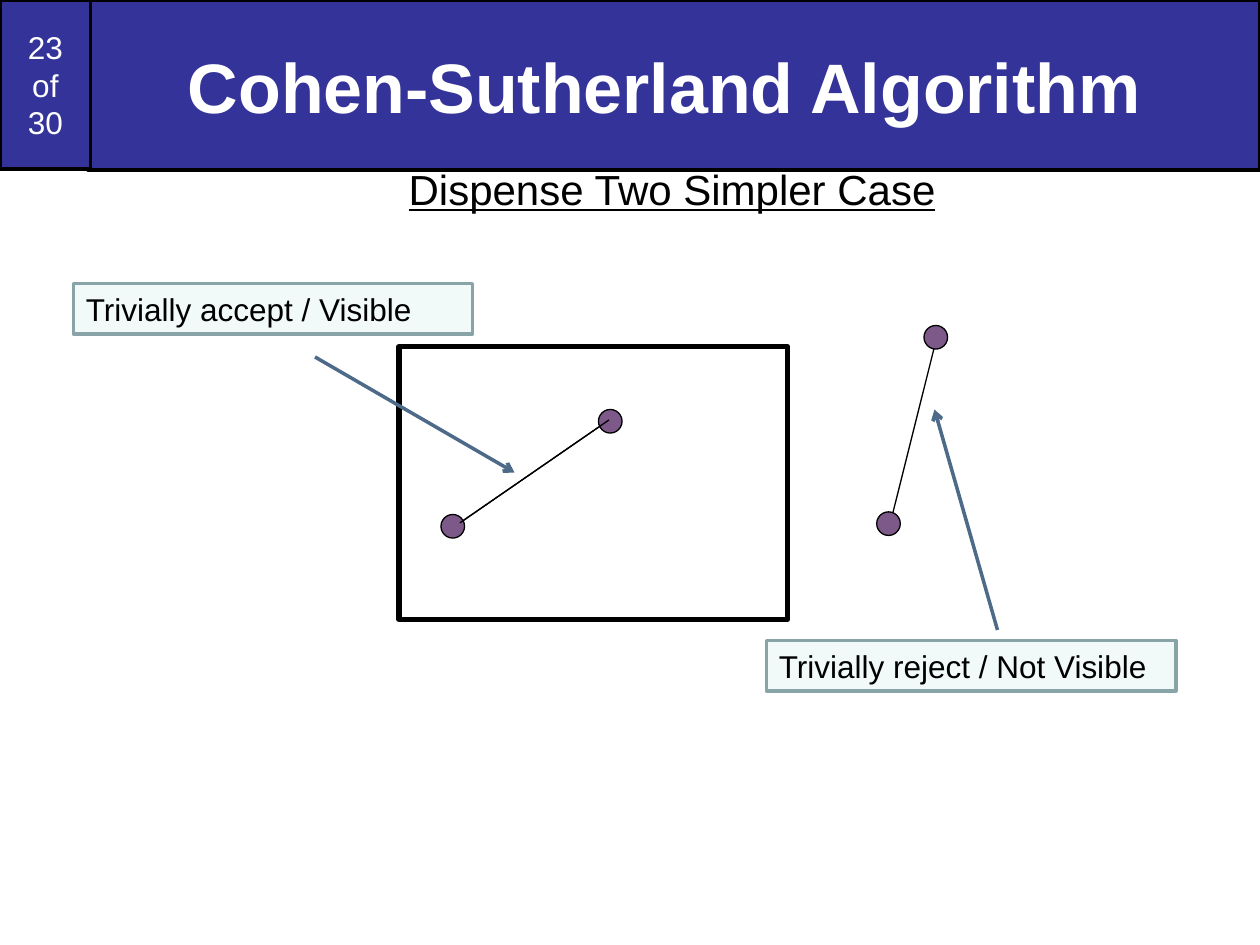
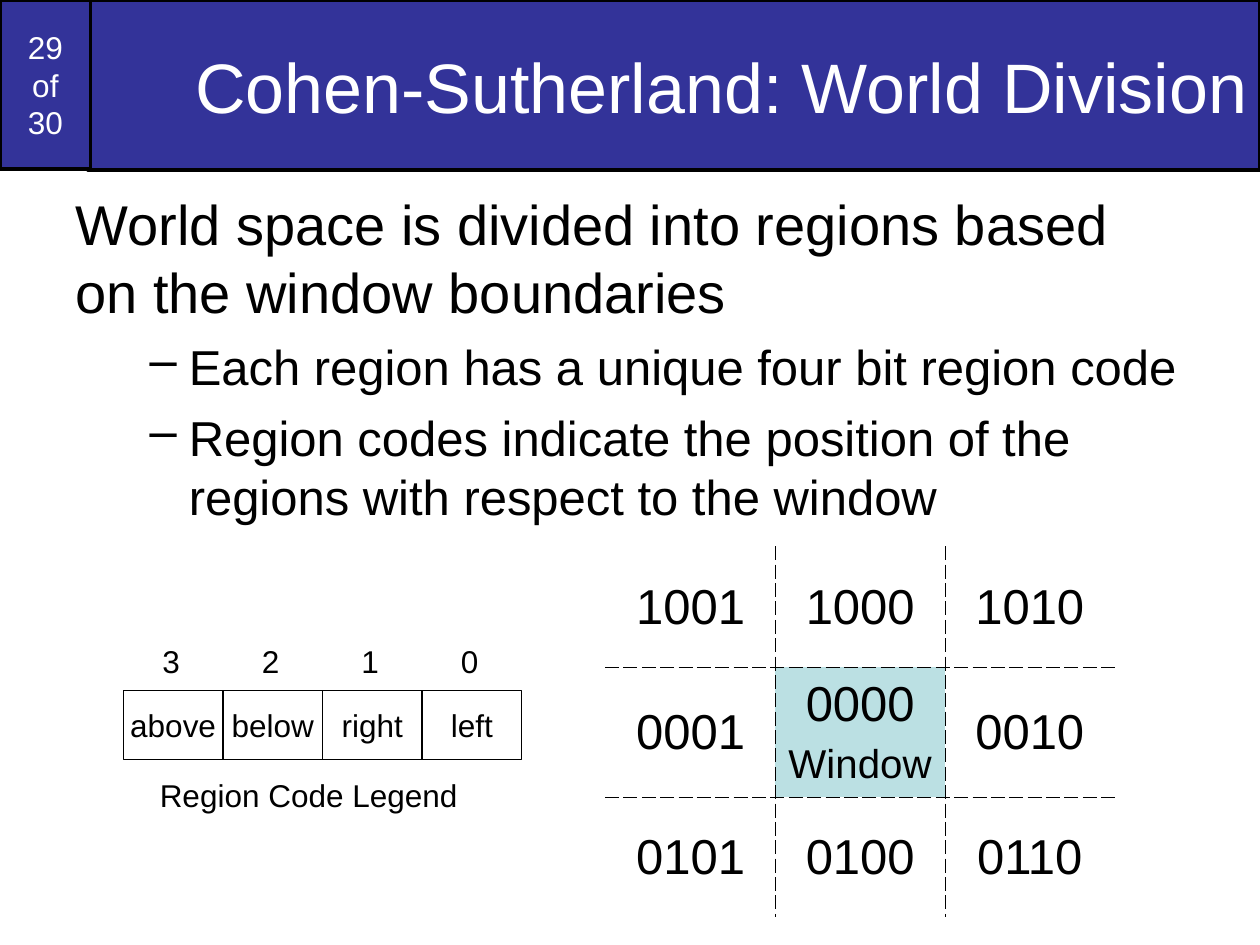
from lxml import etree
from pptx import Presentation
from pptx.dml.color import RGBColor
from pptx.enum.shapes import MSO_CONNECTOR, MSO_SHAPE
from pptx.enum.text import MSO_ANCHOR, MSO_AUTO_SIZE, PP_ALIGN
from pptx.oxml.ns import qn
from pptx.util import Inches, Pt

LEFT, CENTER, RIGHT = PP_ALIGN.LEFT, PP_ALIGN.CENTER, PP_ALIGN.RIGHT
TOP, MIDDLE = MSO_ANCHOR.TOP, MSO_ANCHOR.MIDDLE
RECTANGLE, OVAL = MSO_SHAPE.RECTANGLE, MSO_SHAPE.OVAL
STRAIGHT = MSO_CONNECTOR.STRAIGHT
NO_AUTOFIT = MSO_AUTO_SIZE.NONE

FONT = "Arial"
COLORS = {
    "band": "333399", "white": "FFFFFF", "black": "000000",
    "point": "7C5989", "pointer": "4D6B89",
    "label": "F1F9F9", "label_edge": "89A4A7", "window": "BBE0E3",
}
TITLE_ONLY = 5
PAGE_TOTAL = 30
CELLS_PER_INCH = 12  # the slide is a grid of 120 columns by 90 rows


def grid(*cells):
    return [Inches(cell / CELLS_PER_INCH) for cell in cells]


def color(name):
    return RGBColor.from_string(COLORS[name])


# Text
def format_para(para, size, ink="black", align=LEFT, bold=False, underline=False, before=0):
    para.alignment = align
    para.space_before = Pt(before)
    for span in para.runs:
        font = span.font
        font.name, font.size = FONT, Pt(size)
        font.bold, font.underline = bold, underline
        font.color.rgb = color(ink)


def write(box, text, size, anchor=TOP, wrap=True, **style):
    frame = box.text_frame
    frame.auto_size = NO_AUTOFIT
    frame.word_wrap = wrap
    frame.vertical_anchor = anchor
    para = frame.paragraphs[0]
    para.text = text
    format_para(para, size, **style)


def add_text(page, place, text, size, **style):
    write(page.shapes.add_textbox(*grid(*place)), text, size, **style)


def add_dash_bullet(para, margin, hang):
    properties = para._p.get_or_add_pPr()
    properties.set("marL", str(Inches(margin)))
    properties.set("indent", str(-Inches(hang)))
    etree.SubElement(properties, qn("a:buChar"), char="–")


# Shapes and lines
def paint(shape, fill, edge, width):
    if fill:
        shape.fill.solid()
        shape.fill.fore_color.rgb = color(fill)
    else:
        shape.fill.background()
    shape.line.color.rgb = color(edge)
    shape.line.width = Pt(width)


def add_box(page, kind, place, fill=None, edge="black", width=1):
    shape = page.shapes.add_shape(kind, *grid(*place))
    shape.shadow.inherit = False
    paint(shape, fill, edge, width)
    return shape


def add_line(page, start, end, ink="black", width=0.75, arrow=False):
    connector = page.shapes.add_connector(STRAIGHT, *grid(*start, *end))
    connector.line.color.rgb = color(ink)
    connector.line.width = Pt(width)
    etree.SubElement(connector._element.spPr, qn("a:effectLst"))
    if arrow:
        etree.SubElement(connector.line._get_or_add_ln(), qn("a:tailEnd"), type="arrow")


def add_label(page, place, text):
    box = add_box(page, RECTANGLE, place, "label", "label_edge", 2)
    write(box, text, 18)


def add_segment(page, points, start, end):
    add_line(page, start, end)
    for left, top in points:
        add_box(page, OVAL, (left, top, 2.25, 2.25), "point", width=0.75)


# Page heading: number badge and title band
def add_page(deck, number, title, align, bold=False):
    page = deck.slides.add_slide(deck.slide_layouts[TITLE_ONLY])
    badge = add_box(page, RECTANGLE, (0, 0, 8.64, 16.1), "band", width=2)
    write(badge, f"{number}\vof\v{PAGE_TOTAL}", 18, MIDDLE, ink="white", align=CENTER)
    band = page.shapes.title
    band.left, band.top, band.width, band.height = grid(8.4, 0, 111.6, 16.2)
    paint(band, "band", "black", 2)
    write(band, title, 40, MIDDLE, ink="white", align=align, bold=bold)
    return page


# Region code table
def dash_border(cell, side):
    line = etree.SubElement(cell._tc.get_or_add_tcPr(), qn(f"a:ln{side}"), w=str(Pt(0.45)))
    fill = etree.SubElement(line, qn("a:solidFill"))
    etree.SubElement(fill, qn("a:srgbClr"), val=COLORS["black"])
    etree.SubElement(line, qn("a:prstDash"), val="dash")


def add_region_table(page, left, top, column_width, row_heights, codes):
    last_row, last_column = len(codes) - 1, len(codes[0]) - 1
    place = grid(left, top, column_width * len(codes[0]), sum(row_heights))
    table = page.shapes.add_table(len(codes), len(codes[0]), *place).table
    table.first_row = table.horz_banding = False
    for column in table.columns:
        column.width = grid(column_width)[0]
    for r, (height, row) in enumerate(zip(row_heights, codes)):
        table.rows[r].height = grid(height)[0]
        for c, code in enumerate(row):
            cell = table.cell(r, c)
            inner_sides = {"L": c > 0, "R": c < last_column, "T": r > 0, "B": r < last_row}
            for side, inner in inner_sides.items():
                if inner:
                    dash_border(cell, side)
            cell.fill.background()
            cell.vertical_anchor = MIDDLE
            cell.text_frame.text = code
            format_para(cell.text_frame.paragraphs[0], 28, align=CENTER)
    return table


def mark_window(cell):
    cell.fill.solid()
    cell.fill.fore_color.rgb = color("window")
    para = cell.text_frame.add_paragraph()
    para.text = "Window"
    format_para(para, 23, align=CENTER, before=5.8)


def add_legend(page, left, top, width, height, names):
    for i, name in enumerate(names):
        x = left + i * width
        box = add_box(page, RECTANGLE, (x, top, width, height))
        write(box, name, 18, MIDDLE, wrap=False, align=CENTER)
        bit = str(len(names) - 1 - i)
        add_text(page, (x + 2.5, top - 5.15, 4.1, 4.8), bit, 18, wrap=False, align=CENTER)
    add_text(page, (left + 2.3, top + 7.55, 30.7, 4.8), "Region Code Legend", 18,
             wrap=False, align=CENTER)


# Slides
def build_simple_cases(deck):
    page = add_page(deck, 23, "Cohen-Sutherland Algorithm ", CENTER, bold=True)
    add_text(page, (13, 15, 102, 8), "Dispense Two Simpler Case", 24,
             align=CENTER, underline=True)
    add_box(page, RECTANGLE, (38, 33, 37, 26), width=3)
    add_segment(page, [(42, 49), (57, 39)], (43.8, 49.8), (58, 40))
    add_segment(page, [(83.5, 48.75), (88, 31)], (85, 49), (89, 33))
    # The inner segment's ends show above its points
    add_line(page, (43.8, 49.8), (58, 40))
    add_label(page, (7, 27, 38, 4.8), "Trivially accept / Visible")
    add_label(page, (73, 61, 39, 4.8), "Trivially reject / Not Visible")
    for start, end in [((30, 34), (49, 45)), ((95, 60), (89, 39))]:
        add_line(page, start, end, "pointer", 2, arrow=True)


def build_world_division(deck):
    page = add_page(deck, 29, "Cohen-Sutherland: World Division", RIGHT)
    body = page.shapes.add_textbox(*grid(6, 17.5, 108, 34))
    write(body, "World space is divided into regions based on the window boundaries", 32)
    for point in ["Each region has a unique four bit region code",
                  "Region codes indicate the position of the regions with respect to the window"]:
        para = body.text_frame.add_paragraph()
        para.text = point
        format_para(para, 28, before=7)
        add_dash_bullet(para, 0.9, 0.31)
    table = add_region_table(page, 57.7, 52.1, 16.15, [11.45, 12.4, 11.45], [
        ["1001", "1000", "1010"],
        ["0001", "0000", "0010"],
        ["0101", "0100", "0110"],
    ])
    mark_window(table.cell(1, 1))
    add_legend(page, 11.75, 65.75, 9.48, 6.6, ["above", "below", "right", "left"])


def main():
    deck = Presentation()
    deck.slide_width, deck.slide_height = grid(120, 90)
    build_simple_cases(deck)
    build_world_division(deck)
    deck.save("out.pptx")


if __name__ == "__main__":
    main()
